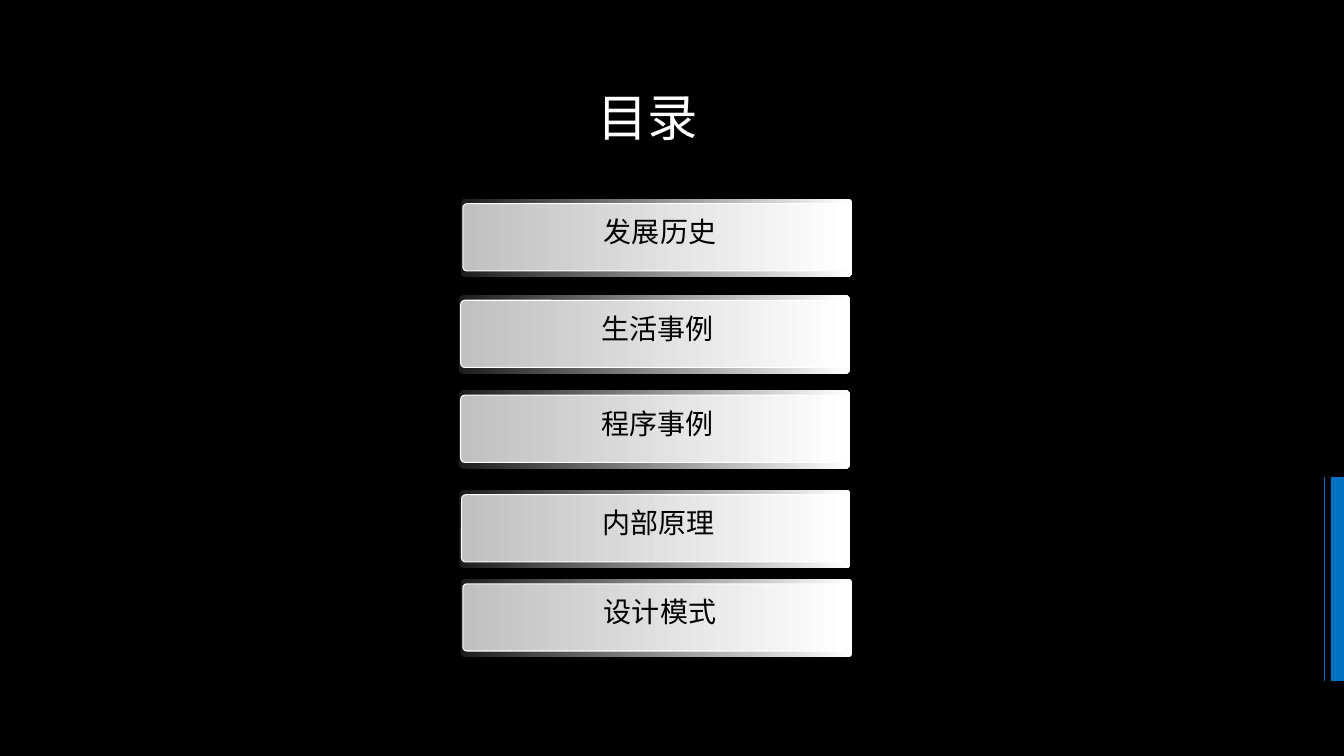
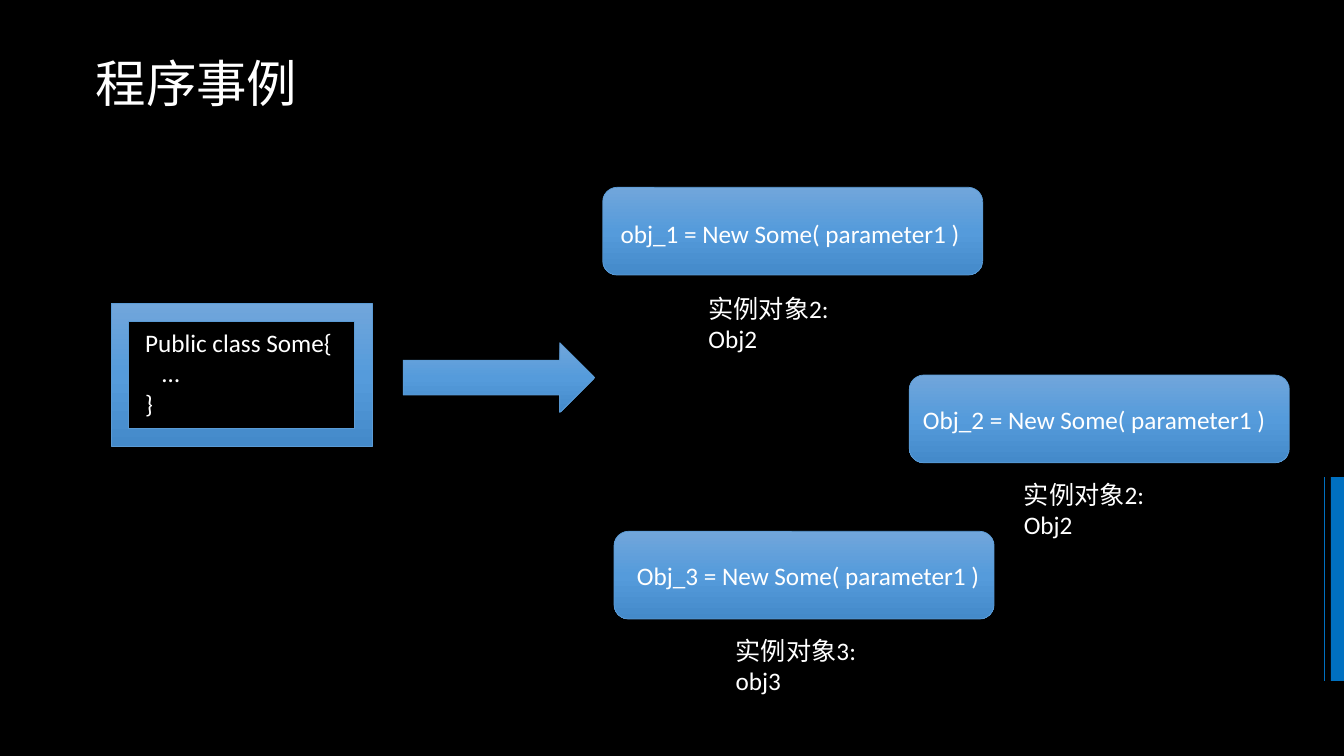
from lxml import etree
from pptx import Presentation
from pptx.dml.color import RGBColor
from pptx.enum.shapes import MSO_CONNECTOR, MSO_SHAPE
from pptx.enum.text import MSO_ANCHOR, PP_ALIGN
from pptx.oxml.ns import qn
from pptx.util import Inches, Pt

RECT, ROUNDED = MSO_SHAPE.RECTANGLE, MSO_SHAPE.ROUNDED_RECTANGLE
ARROW, FRAME = MSO_SHAPE.RIGHT_ARROW, MSO_SHAPE.FRAME
STRAIGHT = MSO_CONNECTOR.STRAIGHT
LEFT, CENTER = PP_ALIGN.LEFT, PP_ALIGN.CENTER
MIDDLE = MSO_ANCHOR.MIDDLE

BLACK = RGBColor(0x00, 0x00, 0x00)
WHITE = RGBColor(0xFF, 0xFF, 0xFF)
ACCENT = RGBColor(0x00, 0x70, 0xC0)
BLUE_LINE = RGBColor(0x5B, 0x9B, 0xD5)
BLUE_FADE = (RGBColor(0x71, 0xA6, 0xDB), RGBColor(0x55, 0x9B, 0xDB),
             RGBColor(0x44, 0x8A, 0xCA))
RIM_FADE = (RGBColor(0x1C, 0x1C, 0x1C), WHITE)
BAR_FADE = (RGBColor(0xC0, 0xC0, 0xC0), WHITE)

LATIN, CJK = "Calibri", "Noto Sans CJK SC"

WIDTH, HEIGHT = Inches(13.33), Inches(7.5)
COLS, ROWS = 32, 18

# Text, column and row of each contents bar
CONTENTS = [
    ("发展历史", 10.97, 4.73),
    ("生活事例", 10.92, 7.03),
    ("程序事例", 10.92, 9.29),
    ("内部原理", 10.94, 11.66),
    ("设计模式", 10.97, 13.78),
]

# Code, label, then column and row of the box, the code and the label
INSTANCES = [
    ("obj_1 = New Some( parameter1 )", "实例对象2: Obj2",
     (14.35, 4.46), (14.54, 5.09), (16.63, 6.86)),
    ("Obj_2 = New Some( parameter1 )", "实例对象2: Obj2",
     (21.65, 8.93), (21.74, 9.5), (24.14, 11.3)),
    ("Obj_3 = New Some( parameter1 )", "实例对象3: obj3",
     (14.62, 12.65), (14.93, 13.22), (17.28, 15)),
]


def grid(*cells):
    """Turn alternating column and row counts into lengths."""
    units = (WIDTH / COLS, HEIGHT / ROWS)
    return [round(n * units[i % 2]) for i, n in enumerate(cells)]


def fade(fill_owner, colours, angle):
    """Fill a shape with evenly spaced colours; the angle runs clockwise."""
    fill_owner.fill.gradient()
    fill_owner.fill.gradient_angle = -angle % 360
    stops = fill_owner.element.spPr.find(qn("a:gradFill")).find(qn("a:gsLst"))
    for stop in list(stops):
        stops.remove(stop)
    for i, colour in enumerate(colours):
        stop = etree.SubElement(stops, qn("a:gs"))
        stop.set("pos", str(100000 * i // (len(colours) - 1)))
        etree.SubElement(stop, qn("a:srgbClr")).set("val", str(colour))


def add_shape(shapes, kind, cells, colours, angle=0, line=None, width=0.5):
    sp = shapes.add_shape(kind, *grid(*cells))
    sp.shadow.inherit = False
    if len(colours) > 1:
        fade(sp, colours, angle)
    else:
        sp.fill.solid()
        sp.fill.fore_color.rgb = colours[0]
    if line is None:
        sp.line.fill.background()
    else:
        sp.line.color.rgb = line
        sp.line.width = Pt(width)
    return sp


def write(tf, lines, size, colour, font=LATIN, align=LEFT):
    tf.word_wrap = True
    for i, text in enumerate(lines):
        p = tf.add_paragraph() if i else tf.paragraphs[0]
        p.alignment = align
        r = p.add_run()
        r.text = text
        r.font.size = Pt(size)
        r.font.name = font
        r.font.color.rgb = colour
        ea = etree.SubElement(r.font._element, qn("a:ea"))
        ea.set("typeface", CJK)


def add_text(shapes, cells, lines, size=18, colour=WHITE, **style):
    box = shapes.add_textbox(*grid(*cells))
    write(box.text_frame, lines, size, colour, **style)


def add_title(s, text, cells, align=LEFT):
    title = s.shapes.title
    title.left, title.top, title.width, title.height = grid(*cells)
    tf = title.text_frame
    tf.vertical_anchor = MIDDLE
    write(tf, [text], 36, WHITE, font=CJK, align=align)
    tf.paragraphs[0].line_spacing = 0.9


def style_master(prs, s):
    """Set the black ground and move the edge band, drawn on s, to the master."""
    master = prs.slide_master
    master.background.fill.solid()
    master.background.fill.fore_color.rgb = BLACK
    band = add_shape(s.shapes, RECT, (31.69, 11.36, 0.31, 4.85), [ACCENT])
    rule = s.shapes.add_connector(STRAIGHT, *grid(31.54, 11.36, 31.54, 16.21))
    rule.line.color.rgb = ACCENT
    rule.line.width = Pt(0.5)
    etree.SubElement(rule.element.spPr, qn("a:effectLst"))
    for number, part in enumerate((band, rule), 101):
        part.element.xpath(".//p:cNvPr")[0].set("id", str(number))
        master.shapes.element.append(part.element)


def add_bar(s, text, col, row):
    shapes = s.shapes.add_group_shape().shapes
    rim = add_shape(shapes, ROUNDED, (col, row, 9.31, 1.87), RIM_FADE)
    face = add_shape(shapes, ROUNDED, (col + 0.05, row + 0.12, 9.17, 1.6),
                     BAR_FADE, line=WHITE, width=0.75)
    for sp in (rim, face):
        sp.adjustments[0] = 0.06
    add_text(shapes, (col + 0.57, row + 0.26, 8.35, 1.06), [text],
             size=20, colour=BLACK, font=CJK, align=CENTER)


def add_blue(s, kind, cells):
    add_shape(s.shapes, kind, cells, BLUE_FADE, angle=90, line=BLUE_LINE)


def build_contents(s):
    add_title(s, "目录", (10.01, 2.09, 10.82, 1.56), align=CENTER)
    for text, col, row in CONTENTS:
        add_bar(s, text, col, row)


def build_example(s):
    add_title(s, "程序事例", (2.04, 0.96, 14.95, 2.18))
    add_blue(s, FRAME, (2.64, 7.22, 6.22, 3.41))
    add_text(s.shapes, (3.22, 7.68, 4.97, 2.42),
             ["Public class Some{", "   …", "}"])
    add_blue(s, ARROW, (9.6, 8.16, 4.56, 1.66))
    for code, label, box_at, code_at, label_at in INSTANCES:
        add_blue(s, ROUNDED, (*box_at, 9.05, 2.09))
        add_text(s.shapes, (*code_at, 8.88, 0.96), [code])
        add_text(s.shapes, (*label_at, 4.08, 1.7), [label])


def main():
    prs = Presentation()
    prs.slide_width, prs.slide_height = WIDTH, HEIGHT
    title_only = prs.slide_layouts[5]
    contents, example = (prs.slides.add_slide(title_only) for _ in range(2))
    style_master(prs, contents)
    build_contents(contents)
    build_example(example)
    prs.save("out.pptx")


if __name__ == "__main__":
    main()
